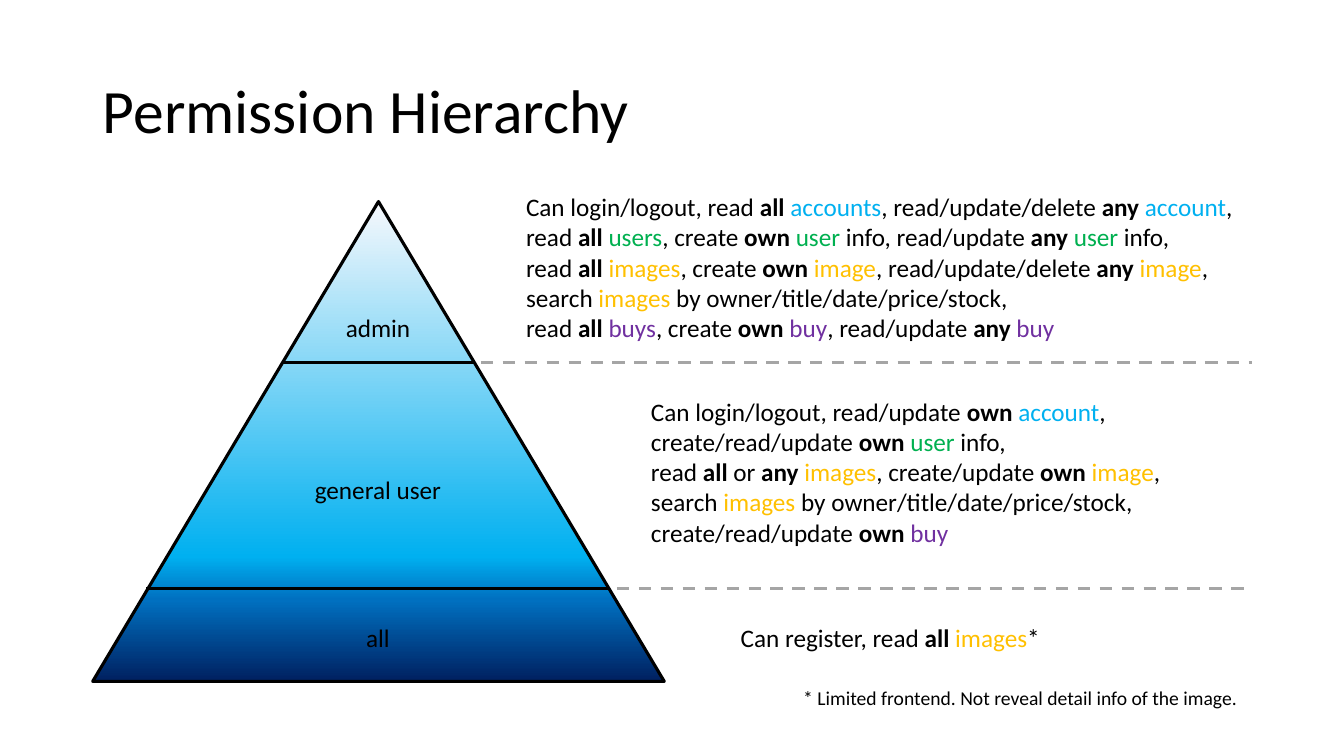
from lxml import etree
from pptx import Presentation
from pptx.dml.color import RGBColor
from pptx.enum.dml import MSO_LINE
from pptx.enum.shapes import MSO_CONNECTOR, MSO_SHAPE
from pptx.enum.text import MSO_ANCHOR, MSO_AUTO_SIZE, PP_ALIGN
from pptx.oxml import parse_xml
from pptx.oxml.ns import nsdecls, qn
from pptx.util import Pt

FONT = "Calibri"
BLACK = RGBColor(0, 0, 0)
GRAY = RGBColor(0xA5, 0xA5, 0xA5)
BLUE = RGBColor(0x00, 0xB0, 0xF0)
GREEN = RGBColor(0x00, 0xB0, 0x50)
GOLD = RGBColor(0xFF, 0xC0, 0x00)
PURPLE = RGBColor(0x70, 0x30, 0xA0)
PALE = RGBColor(0xF6, 0xF8, 0xFC)
DEEP = RGBColor(0x00, 0x70, 0xC0)
NAVY = RGBColor(0x00, 0x20, 0x60)

# Words that stand out, each in a run of its own between bars
HUES = {"account": BLUE, "user": GREEN, "image": GOLD, "buy": PURPLE}
BOLD = {"all", "own", "any"}
SEARCH = "search |images| by owner/title/date/price/stock,"

ADMIN = [
    "Can login/logout, read |all |accounts|, read/update/delete |any |account|,",
    "read |all |users|, create |own |user| info, read/update |any |user| info,",
    "read |all |images|, create |own |image|, read/update/delete |any |image|, ",
    SEARCH,
    "read |all |buys|, create |own |buy|, read/update |any |buy",
]
GENERAL = [
    "Can login/logout, read/update |own |account|,",
    "create/read/update |own |user| info,",
    "read |all| or |any |images|, create/update |own |image|,",
    SEARCH,
    "create/read/update |own |buy",
]
PUBLIC = ["Can register, read |all |images|*"]
NOTE = ["* Limited frontend. Not reveal detail info of the image."]

# Tier borders: y, left edge, right edge, start of the dashes
TIERS = [(259.2, 201.6, 338.4, 343.44), (420.48, 104.4, 435.6, 440.64)]
RIGHT = 894.24
LABELS = [("admin", 219.6, 61.2), ("general user", 335.52, 105.84),
          ("all", 440.64, 31.68)]
MID = 270


def add_run(para, text, size, color=BLACK, bold=False):
    run = para.add_run()
    run.text = text
    font = run.font
    font.name, font.size, font.bold = FONT, Pt(size), bold
    font.color.rgb = color


def add_box(slide, x, y, w, h):
    frame = slide.shapes.add_textbox(Pt(x), Pt(y), Pt(w), Pt(h)).text_frame
    frame.word_wrap = False
    frame.auto_size = MSO_AUTO_SIZE.SHAPE_TO_FIT_TEXT
    return frame


def add_label(slide, text, y, w):
    para = add_box(slide, MID - w / 2, y, w, 28.8).paragraphs[0]
    para.alignment = PP_ALIGN.CENTER
    add_run(para, text, 18)


def add_rights(slide, lines, x, y, w, h, size=18):
    frame = add_box(slide, x, y, w, h)
    for i, line in enumerate(lines):
        para = frame.add_paragraph() if i else frame.paragraphs[0]
        for part in line.split("|"):
            word = part.strip()
            hue = HUES.get(word.rstrip("s"), BLACK)
            add_run(para, part, size, hue, word in BOLD)


def add_line(slide, x1, x2, y, color, dash=None):
    line = slide.shapes.add_connector(
        MSO_CONNECTOR.STRAIGHT, Pt(x1), Pt(y), Pt(x2), Pt(y))
    line.line.color.rgb = color
    line.line.width = Pt(2.25)
    if dash:
        line.line.dash_style = dash
    etree.SubElement(line._element.spPr, qn("a:effectLst"))


def add_cone(slide, x, y, w, h, stops):
    cone = slide.shapes.add_shape(
        MSO_SHAPE.ISOSCELES_TRIANGLE, Pt(x), Pt(y), Pt(w), Pt(h))
    cone.shadow.inherit = False
    cone.line.color.rgb = BLACK
    cone.line.width = Pt(2.25)
    # Four stops need XML
    cone.fill.gradient()
    marks = "".join(
        f'<a:gs pos="{pos * 1000}"><a:srgbClr val="{color}"/></a:gs>'
        for pos, color in stops)
    fill = parse_xml(
        f'<a:gradFill {nsdecls("a")} rotWithShape="1"><a:gsLst>{marks}</a:gsLst>'
        '<a:lin ang="5400000" scaled="0"/></a:gradFill>')
    props = cone._element.spPr
    props.replace(props.find(qn("a:gradFill")), fill)


def set_title(slide, text):
    title = slide.shapes.title
    title.left, title.top = Pt(66.24), Pt(28.8)
    title.width, title.height = Pt(828), Pt(104.4)
    frame = title.text_frame
    frame.vertical_anchor = MSO_ANCHOR.MIDDLE
    frame.auto_size = MSO_AUTO_SIZE.NONE
    para = frame.paragraphs[0]
    para.alignment = PP_ALIGN.LEFT
    para.line_spacing = 0.9
    add_run(para, text, 44)


def main():
    deck = Presentation()
    deck.slide_width, deck.slide_height = Pt(960), Pt(540)
    slide = deck.slides.add_slide(deck.slide_layouts[5])
    set_title(slide, "Permission Hierarchy")

    # Pyramid and its tiers
    add_cone(slide, 66.24, 144, 408.24, 342.72,
             [(0, PALE), (74, BLUE), (83, DEEP), (100, NAVY)])
    for y, left, right, start in TIERS:
        add_line(slide, left, right, y, BLACK)
        add_line(slide, start, RIGHT, y, GRAY, MSO_LINE.DASH)
    for text, y, w in LABELS:
        add_label(slide, text, y, w)

    # Rights of each tier, and the footnote
    add_rights(slide, ADMIN, 368.64, 133.2, 524.88, 116.64)
    add_rights(slide, GENERAL, 457.92, 279.36, 393.12, 116.64)
    add_rights(slide, PUBLIC, 522, 440.64, 229.68, 28.8)
    add_rights(slide, NOTE, 566.64, 486.72, 327.6, 24.48, 14)
    deck.save("out.pptx")


main()
